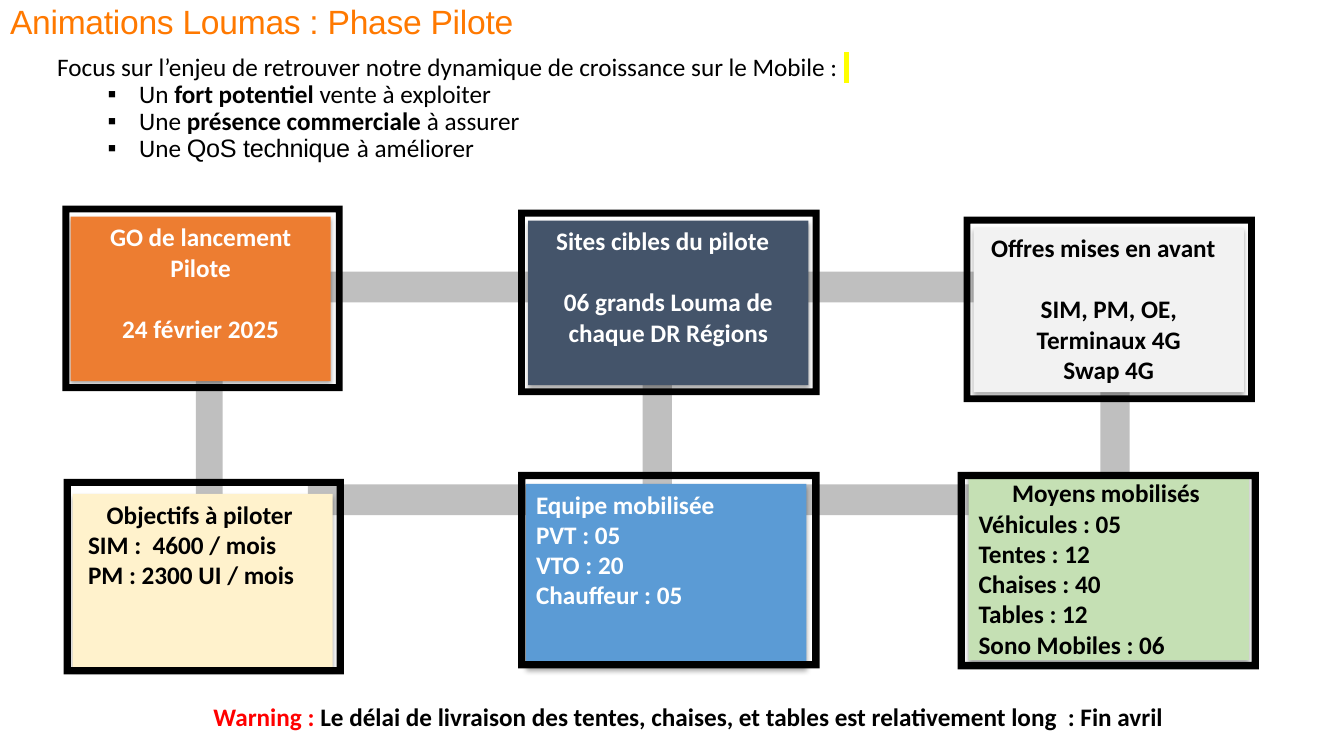
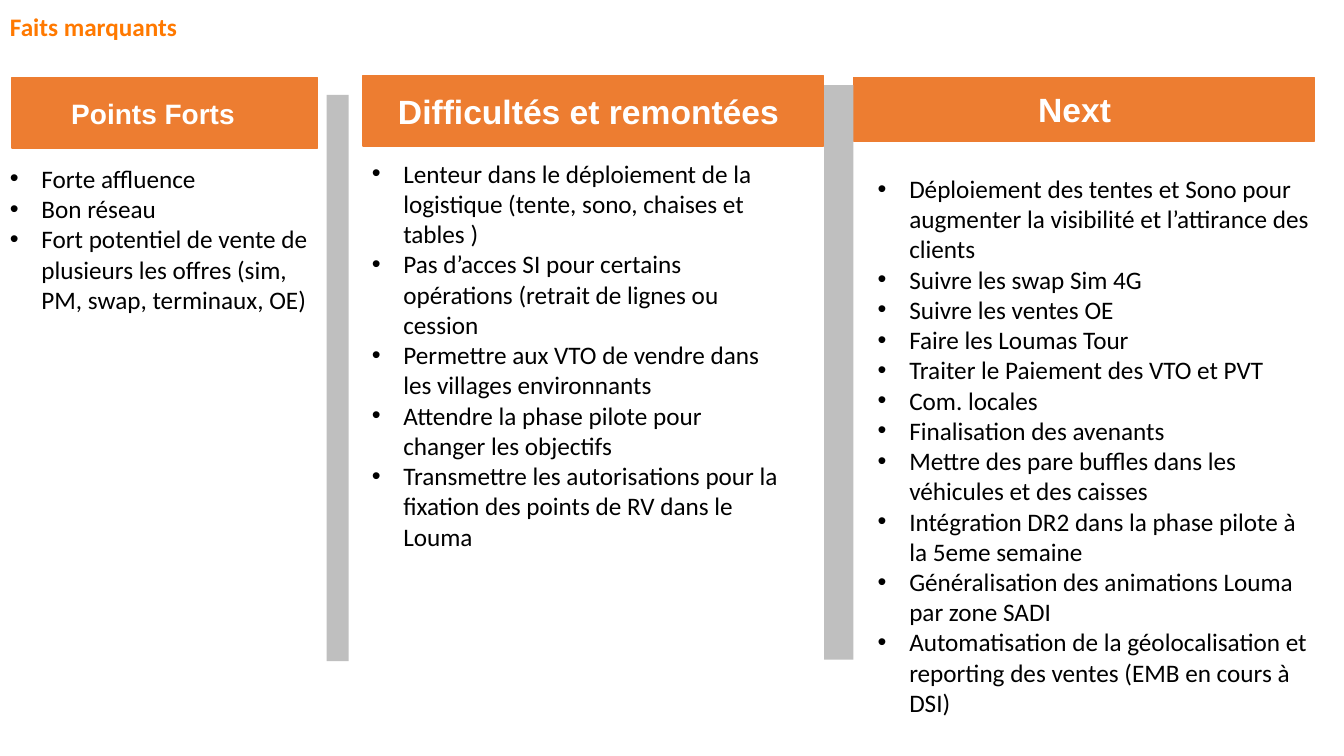
from dataclasses import dataclass, replace
from typing import NamedTuple

from lxml.etree import SubElement
from pptx import Presentation
from pptx.dml.color import RGBColor as RGB
from pptx.enum.shapes import MSO_SHAPE as Shape
from pptx.enum.text import MSO_ANCHOR as Anchor, PP_ALIGN as Align
from pptx.oxml.ns import qn
from pptx.util import Pt


@dataclass(frozen=True)
class Theme:
    title: str = "FF7900"
    orange: str = "ED7D31"
    navy: str = "44546A"
    pale: str = "F2F2F2"
    cream: str = "FFF2CC"
    blue: str = "5B9BD5"
    green: str = "C5E0B4"
    bar: str = "BFBFBF"
    black: str = "000000"
    white: str = "FFFFFF"
    alert: str = "FF0000"
    mark: str = "FFFF00"
    body_font: str = "Calibri"
    head_font: str = "Arial"
    body: int = 18
    head_small: int = 20
    head: int = 24


T = Theme()


class Box(NamedTuple):
    left: float
    top: float
    width: float
    height: float


@dataclass(frozen=True)
class Style:
    color: str = T.black
    size: int = T.body
    font: str = T.body_font
    bold: bool = False


class Run(NamedTuple):
    text: str
    bold: bool | None = None
    color: str | None = None
    font: str | None = None
    spacing: float = 0
    highlight: str | None = None


@dataclass(frozen=True)
class Para:
    runs: tuple[Run, ...]
    align: Align = Align.LEFT
    bullet: str = ""
    left: float = 0
    right: float = 0
    before: float = 0
    line: float = 1


class Card(NamedTuple):
    box: Box
    frame: Box
    fill: str
    color: str
    paras: list[Para]


class Column(NamedTuple):
    title: str
    header: Box
    size: int
    pad: float
    body: Box
    points: list[str]


HANG = 22.5
BLANK_LINE = 22


def para(text: str, **options) -> Para:
    return Para((Run(text),), **options)


def centred(text: str, **options) -> Para:
    return para(text, align=Align.CENTER, **options)


def add_run(p, run: Run) -> None:
    r = p.add_run()
    r.text = run.text
    if run.bold is not None:
        r.font.bold = run.bold
    if run.color:
        r.font.color.rgb = RGB.from_string(run.color)
    props = r._r.get_or_add_rPr()
    if run.highlight:
        mark = SubElement(props, qn("a:highlight"))
        SubElement(mark, qn("a:srgbClr"), val=run.highlight)
    if run.font:
        r.font.name = run.font
    if run.spacing:
        props.set("spc", str(round(run.spacing * 100)))


def write(tf, paras: list[Para], style: Style) -> None:
    tf.word_wrap = True
    for i, item in enumerate(paras):
        p = tf.paragraphs[0] if i == 0 else tf.add_paragraph()
        p.alignment = item.align
        p.line_spacing = item.line
        p.space_before = Pt(item.before)
        props = p._p.get_or_add_pPr()
        props.set("marL", str(Pt(item.left)))
        props.set("marR", str(Pt(item.right)))
        if item.bullet:
            props.set("indent", str(Pt(-HANG)))
            SubElement(props, qn("a:buFont"), typeface="Arial")
            SubElement(props, qn("a:buChar"), char=item.bullet)
        p.font.size = Pt(style.size)
        p.font.name = style.font
        p.font.bold = style.bold
        p.font.color.rgb = RGB.from_string(style.color)
        for run in item.runs:
            add_run(p, run)


def add_text(slide, box: Box, paras: list[Para], style: Style):
    sp = slide.shapes.add_textbox(*map(Pt, box))
    write(sp.text_frame, paras, style)
    return sp


def add_block(slide, box: Box, fill: str, kind: Shape = Shape.RECTANGLE):
    """Plain filled shape without line or shadow."""
    sp = slide.shapes.add_shape(kind, *map(Pt, box))
    sp.fill.solid()
    sp.fill.fore_color.rgb = RGB.from_string(fill)
    sp.line.fill.background()
    sp.shadow.inherit = False
    return sp


def add_soft_shadow(sp) -> None:
    effects = sp._element.spPr.find(qn("a:effectLst"))
    shadow = SubElement(effects, qn("a:outerShdw"), blurRad=str(Pt(3.5)),
                        dist=str(Pt(2.2)), dir="5400000", algn="t", rotWithShape="0")
    color = SubElement(shadow, qn("a:srgbClr"), val=T.black)
    SubElement(color, qn("a:alpha"), val="32000")


def add_card(slide, card: Card) -> None:
    sp = add_block(slide, card.box, card.fill)
    add_soft_shadow(sp)
    sp.text_frame.vertical_anchor = Anchor.TOP
    write(sp.text_frame, card.paras, Style(card.color, bold=True))
    frame = add_block(slide, card.frame, T.black, Shape.FRAME)
    frame.adjustments[0] = 0.037


def add_column(slide, column: Column) -> None:
    sp = add_block(slide, column.header, T.orange)
    sp.line.color.rgb = RGB.from_string(T.orange)
    sp.line.width = Pt(1)
    sp.text_frame.vertical_anchor = Anchor.MIDDLE
    write(sp.text_frame, [centred(column.title, right=column.pad)],
          Style(T.white, column.size, T.head_font, True))
    add_text(slide, column.body,
             [para(t, bullet="•", left=HANG) for t in column.points], Style())


PILOT_BARS = [
    Box(786, 208, 21, 176), Box(459, 199, 21, 148), Box(140, 216, 19, 168),
    Box(220, 346, 485, 22), Box(220, 194, 485, 22),
]

CARDS = [
    Card(Box(50.4, 154.8, 185.8, 117.4), Box(44.6, 146.9, 200.2, 132.5), T.orange, T.white,
         [centred("GO de lancement Pilote"),
          centred("24 février 2025", before=BLANK_LINE)]),
    Card(Box(377.3, 157.7, 200.2, 117.4), Box(370.1, 149.8, 215.3, 132.5), T.navy, T.white,
         [centred("Sites cibles du pilote", right=8),
          centred("06 grands Louma de chaque DR Régions", before=BLANK_LINE)]),
    Card(Box(695.5, 162.7, 193, 117.4), Box(688.3, 154.8, 208.1, 132.5), T.pale, T.black,
         [centred("Offres mises en avant", right=8),
          centred("SIM, PM, OE, Terminaux 4G", before=BLANK_LINE),
          centred("Swap 4G")]),
    Card(Box(51.8, 352.8, 185.8, 123.8), Box(45.4, 342, 200.2, 139.7), T.cream, T.black,
         [centred("Objectifs à piloter", right=4),
          para("SIM :  4600 / mois", left=4),
          para("PM : 2300 UI / mois", left=4)]),
    Card(Box(375.8, 345.6, 200.2, 131), Box(370.1, 337, 215.3, 140.4), T.blue, T.white,
         [para(t) for t in ("Equipe mobilisée", "PVT : 05", "VTO : 20", "Chauffeur : 05")]),
    Card(Box(691.9, 337.7, 200.2, 133.9), Box(684, 337, 215.3, 141.1), T.green, T.black,
         [centred("Moyens mobilisés", right=4)]
         + [para(t) for t in ("Véhicules : 05", "Tentes : 12", "Chaises : 40",
                              "Tables : 12", "Sono Mobiles : 06")]),
]

STAKE = Para((
    Run("Focus sur l’enjeu de retrouver notre dynamique de croissance sur le Mobile : "),
    Run(" ", bold=True, highlight=T.mark)), line=0.9)
STAKE_POINTS = [
    (Run("Un "), Run("fort potentiel ", bold=True), Run("vente à exploiter")),
    (Run("Une "), Run("présence commerciale ", bold=True), Run("à assurer")),
    (Run("Une "), Run("QoS technique ", font=T.head_font, spacing=-0.2), Run("à améliorer")),
]
WARNING = Para((
    Run("Warning : ", color=T.alert),
    Run("Le délai de livraison des tentes, chaises, et tables "
        "est relativement long  : Fin avril")))

COLUMN_BARS = [Box(233.3, 67.7, 15.8, 404.6), Box(588.6, 60.8, 20.9, 410.4)]

COLUMNS = [
    Column("Points Forts", Box(8.6, 55.4, 218.2, 50.4), T.head_small, 16.7,
           Box(0, 113, 230.4, 138.2),
           ["Forte affluence", "Bon réseau",
            "Fort potentiel de vente de plusieurs les offres (sim, PM, swap, terminaux, OE)"]),
    Column("Difficultés et remontées", Box(259.2, 54, 329, 50.4), T.head, 6.7,
           Box(258.5, 109.4, 311, 312.5),
           ["Lenteur dans le déploiement de la logistique (tente, sono, chaises et tables )",
            "Pas d’acces SI pour certains opérations (retrait de lignes ou cession",
            "Permettre aux VTO de vendre dans les villages environnants",
            "Attendre la phase pilote pour changer les objectifs",
            "Transmettre les autorisations pour la fixation des points de RV dans le Louma"]),
    Column("Next", Box(609.8, 55.4, 329, 45.4), T.head, 13.3,
           Box(619.9, 120.2, 329, 415),
           ["Déploiement des tentes et Sono pour augmenter la visibilité "
            "et l’attirance des clients",
            "Suivre les swap Sim 4G", "Suivre les ventes OE", "Faire les Loumas Tour",
            "Traiter le Paiement des VTO et PVT", "Com. locales", "Finalisation des avenants",
            "Mettre des pare buffles dans les véhicules et des caisses",
            "Intégration DR2 dans la phase pilote à la 5eme semaine",
            "Généralisation des animations Louma par zone SADI",
            "Automatisation de la géolocalisation et reporting des ventes "
            "(EMB en cours à DSI)"]),
]

TITLE = Style(T.title)


def build_pilot(slide) -> None:
    for bar in PILOT_BARS:
        add_block(slide, bar, T.bar)
    for card in CARDS:
        add_card(slide, card)
    title = add_text(slide, Box(7.2, 0.7, 496, 78.5),
                     [Para((Run("Animations Loumas : Phase Pilote", spacing=-0.2),))],
                     replace(TITLE, size=T.head, font=T.head_font))
    tf = title.text_frame
    tf.margin_left = tf.margin_top = tf.margin_right = tf.margin_bottom = Pt(0)
    points = [Para(runs, bullet="▪", left=58.5, line=0.9) for runs in STAKE_POINTS]
    add_text(slide, Box(33.8, 35.3, 684.7, 85.7), [STAKE, *points], Style())
    add_text(slide, Box(145.4, 497.5, 797.8, 28.8), [WARNING], Style(bold=True))


def build_highlights(slide) -> None:
    add_text(slide, Box(0, 4.3, 480, 28.8), [para("Faits marquants")],
             replace(TITLE, bold=True))
    for column in COLUMNS:
        add_column(slide, column)
    for bar in COLUMN_BARS:
        add_block(slide, bar, T.bar)


def main() -> None:
    prs = Presentation()
    prs.slide_width, prs.slide_height = Pt(960), Pt(540)
    for build in (build_pilot, build_highlights):
        build(prs.slides.add_slide(prs.slide_layouts[6]))
    prs.save("out.pptx")


if __name__ == "__main__":
    main()
